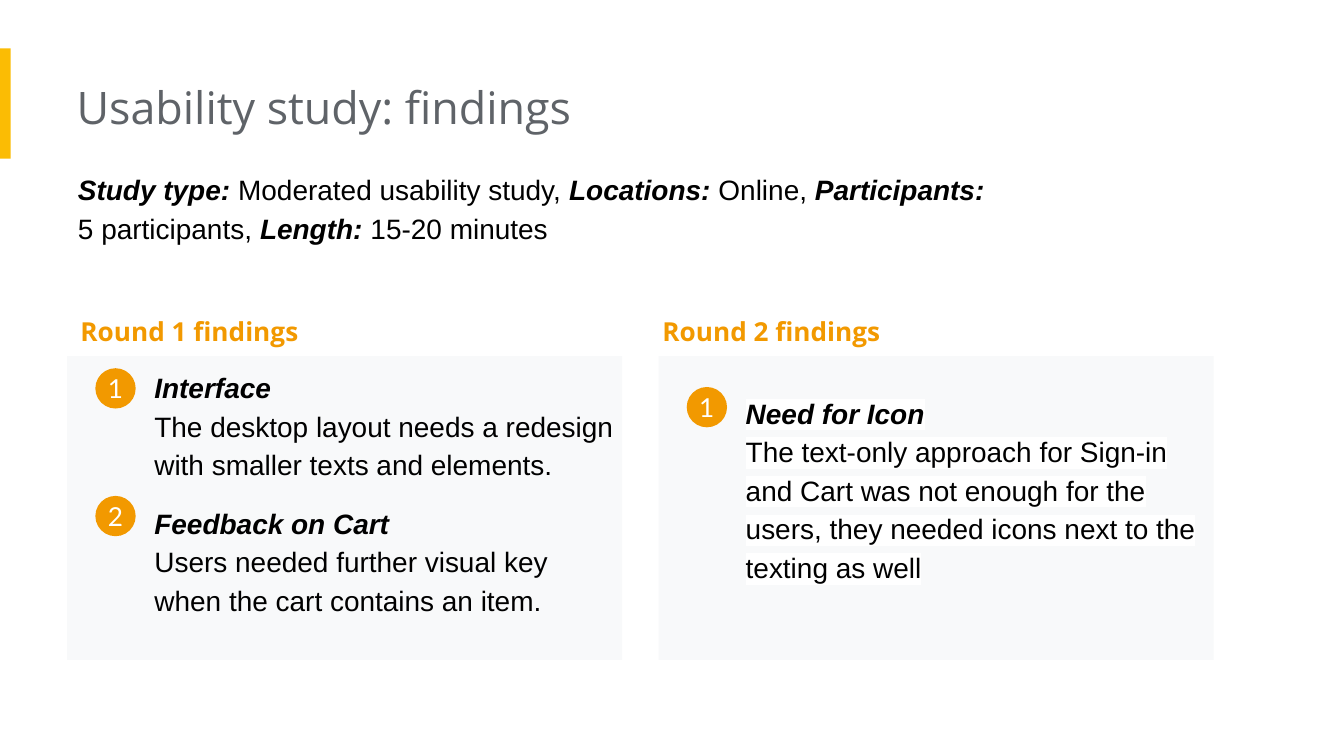
from dataclasses import dataclass

from lxml.etree import SubElement
from pptx import Presentation
from pptx.dml.color import RGBColor as Rgb
from pptx.enum.shapes import MSO_SHAPE as Shape
from pptx.enum.text import MSO_ANCHOR as Anchor, PP_ALIGN as Align
from pptx.oxml.ns import qn
from pptx.util import Inches, Pt


@dataclass(frozen=True)
class Theme:
    gold: str = "FBBC04"
    orange: str = "F29900"
    gray: str = "5F6368"
    panel: str = "F8F9FA"
    black: str = "000000"
    white: str = "FFFFFF"
    head: str = "Open Sans"
    body: str = "Arial"
    digit: str = "Lato"
    title_pt: int = 24
    body_pt: int = 15
    label_pt: int = 14
    spacing: float = 1.15


class Deck:
    def __init__(self, slide, theme):
        self.slide = slide
        self.theme = theme

    def run(self, para, text, font, size, color, bold=False, italic=False, mark=None):
        """Add one run; mark is the highlight colour."""
        run = para.add_run()
        run.text = text
        style = run.font
        style.size, style.bold, style.italic = Pt(size), bold, italic
        style.color.rgb = Rgb.from_string(color)
        if mark:
            light = SubElement(style._element, qn("a:highlight"))
            SubElement(light, qn("a:srgbClr"), val=mark)
        style.name = font

    def shape(self, kind, box, color):
        shape = self.slide.shapes.add_shape(kind, *map(Inches, box))
        shape.shadow.inherit = False
        shape.fill.solid()
        shape.fill.fore_color.rgb = Rgb.from_string(color)
        shape.line.fill.background()
        return shape

    def frame(self, box, left=0.1):
        frame = self.slide.shapes.add_textbox(*map(Inches, box)).text_frame
        frame.word_wrap = True
        frame.margin_left = Inches(left)
        frame.margin_right = frame.margin_top = frame.margin_bottom = Inches(0.1)
        return frame

    def title(self, text, box):
        t = self.theme
        para = self.frame(box, left=0).paragraphs[0]
        self.run(para, text, t.head, t.title_pt, t.gray)

    def label(self, text, box):
        t = self.theme
        para = self.frame(box).paragraphs[0]
        para.line_spacing = t.spacing
        self.run(para, text, t.head, t.label_pt, t.orange, bold=True)

    def prose(self, lines, box, left=0.1, mark=None):
        """Write lines of (text, strong) pairs; strong is bold italic."""
        t = self.theme
        frame = self.frame(box, left)
        for i, line in enumerate(lines):
            para = frame.add_paragraph() if i else frame.paragraphs[0]
            para.line_spacing = t.spacing
            for text, strong in line:
                self.run(para, text, t.body, t.body_pt, t.black, strong, strong, mark)

    def badge(self, text, left, top):
        t = self.theme
        frame = self.shape(Shape.OVAL, (left, top, 0.3, 0.3), t.orange).text_frame
        frame.margin_left = frame.margin_right = 0
        frame.margin_top = frame.margin_bottom = 0
        frame.vertical_anchor = Anchor.MIDDLE
        para = frame.paragraphs[0]
        para.alignment = Align.CENTER
        self.run(para, text, t.digit, t.label_pt, t.white)

    def finding(self, num, head, text, left, top, dot, high, mark=None):
        """Place a numbered finding in the panel that starts at left."""
        box = (left + 0.55, top, 3.65, high)
        self.prose([[(head, True)], [(text, False)]], box, mark=mark)
        self.badge(str(num), left + 0.21, dot)


INTRO = [
    [("Study type: ", True), ("Moderated usability study, ", False),
     ("Locations: ", True), ("Online, ", False), ("Participants:", True)],
    [("5 participants, ", False), ("Length: ", True), ("15-20 minutes", False)],
]

# Panel left, label left, highlight, then findings: head, text, top, dot top, height
ROUNDS = [
    (0.5, 0.5, None, [
        ("Interface",
         "The desktop layout needs a redesign with smaller texts and elements.",
         2.62, 2.74, 1.64),
        ("Feedback on Cart",
         "Users needed further visual key when the cart contains an item.",
         3.63, 3.69, 1.6),
    ]),
    (4.9, 4.83, Theme.white, [
        ("Need for Icon",
         "The text-only approach for Sign-in and Cart was not enough for the "
         "users, they needed icons next to the texting as well",
         2.81, 2.88, 1.89),
    ]),
]


def main():
    prs = Presentation()
    prs.slide_width = Inches(10)
    prs.slide_height = Inches(10 * 9 / 16)
    theme = Theme()
    deck = Deck(prs.slides.add_slide(prs.slide_layouts[6]), theme)

    deck.shape(Shape.RECTANGLE, (0, 0.36, 0.08, 0.82), theme.gold)
    deck.title("Usability study: findings", (0.57, 0.49, 6.73, 0.61))
    deck.prose(INTRO, (0.58, 1.15, 8.61, 1.87), left=0)

    for n, (left, edge, mark, items) in enumerate(ROUNDS, 1):
        deck.label(f"Round {n} findings", (edge, 2.21, 3.65, 0.44))
        deck.shape(Shape.RECTANGLE, (left, 2.65, 4.13, 2.26), theme.panel)
        for num, (head, text, top, dot, high) in enumerate(items, 1):
            deck.finding(num, head, text, left, top, dot, high, mark)

    prs.save("out.pptx")


if __name__ == "__main__":
    main()
